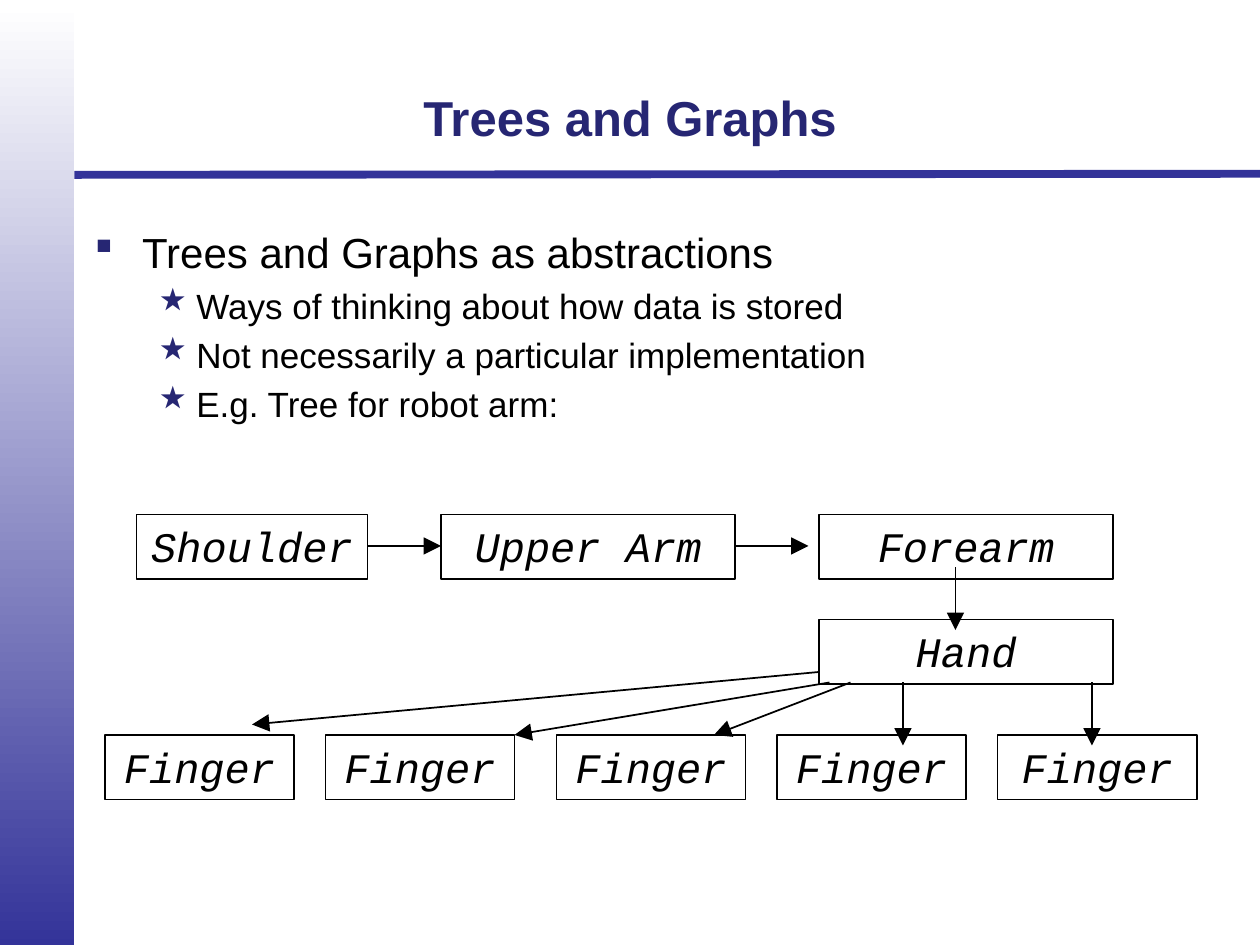
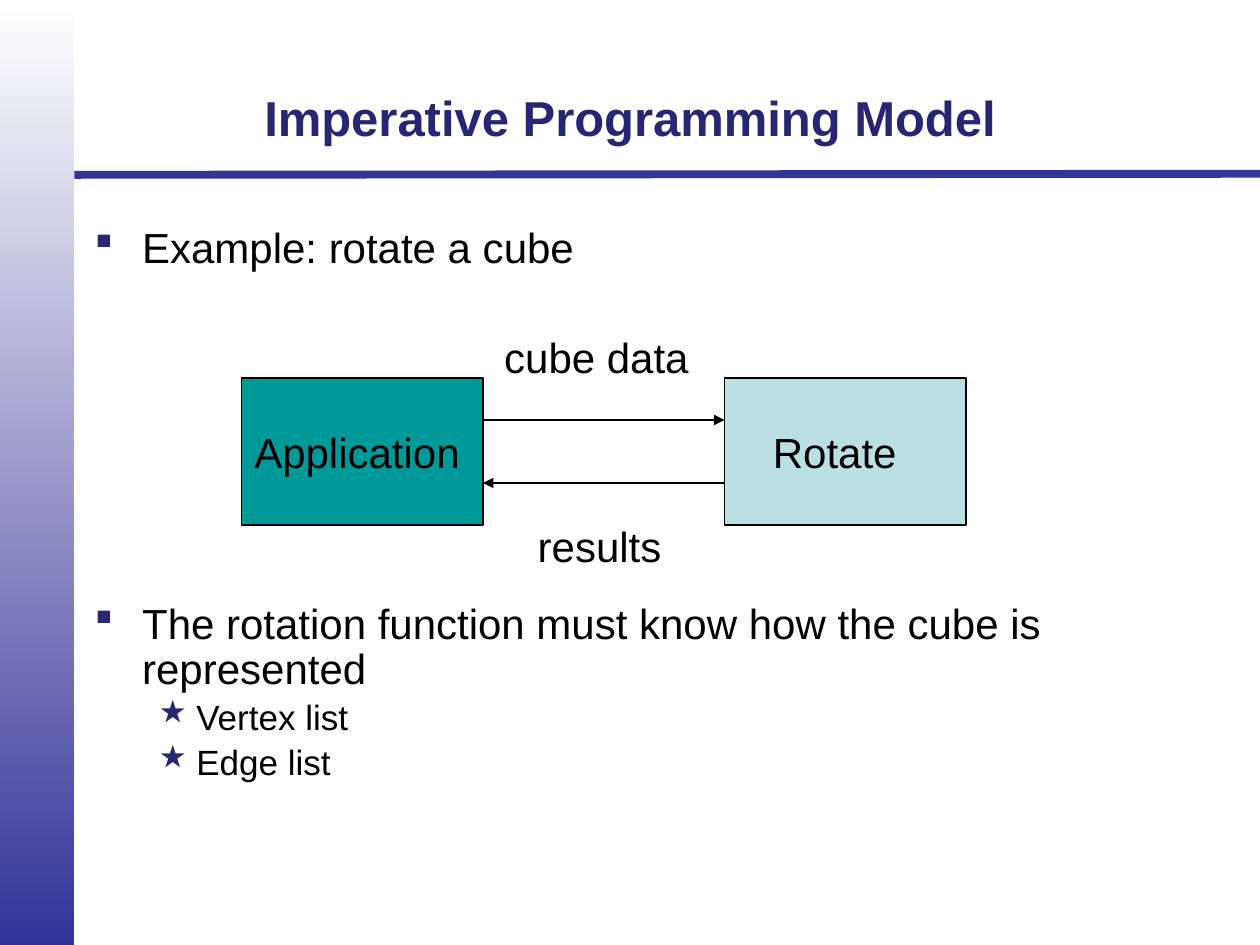
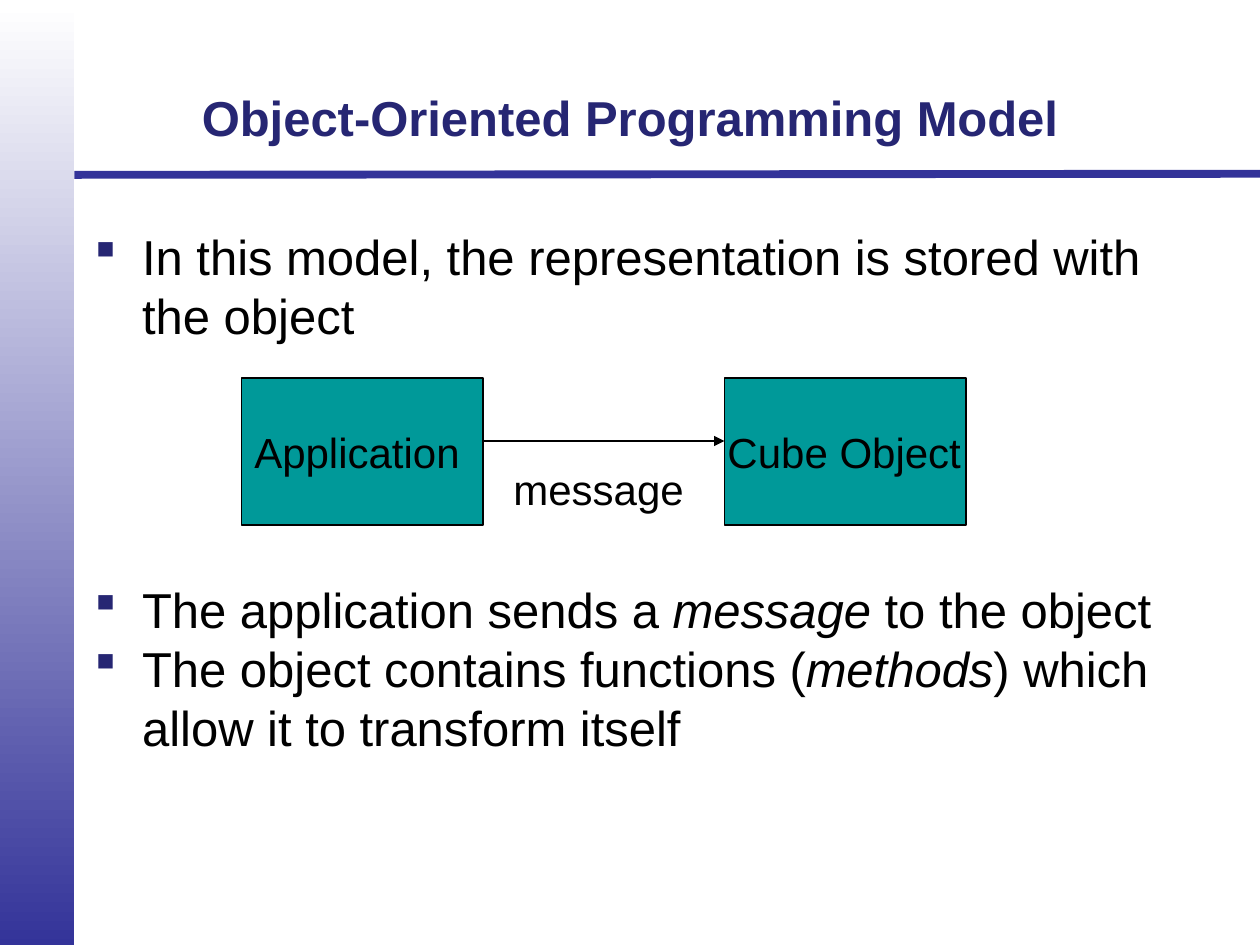
from lxml import etree
from pptx import Presentation, util as u
from pptx.dml.color import RGBColor
from pptx.enum import shapes, text
from pptx.oxml.ns import qn

NAVY, INDIGO, BLACK, WHITE = "262673", "333399", "000000", "FFFFFF"
TEAL, PALE = "009999", "BBE0E3"
COLS, ROWS, CELL = 120, 90, 1 / 12
BAND = 7.08

# level: Wingdings bullet (square, star), left indent, hanging indent
LEVELS = [("§", 0.38, 0.38), ("«", 0.81, 0.31)]

# body paragraph: level, size, space before, runs (text, italic)
SLIDES = [
    dict(
        title="Trees and Graphs", spacing=1.0, arrowhead="lg",
        body=[
            (0, 24, 4.8, [("Trees and Graphs as abstractions", False)]),
            (1, 20, 4, [("Ways of thinking about how data is stored", False)]),
            (1, 20, 4, [("Not necessarily a particular implementation", False)]),
            (1, 20, 4, [("E.g. Tree for robot arm:", False)]),
        ],
        nodes=[("Shoulder", 13, 49, 22), ("Upper Arm", 42, 49, 28),
               ("Forearm", 78, 49, 28), ("Hand", 78, 59, 28)]
              + [("Finger", x, 70, w) for x, w in
                 [(10, 18), (31, 18), (53, 18), (74, 18), (95, 19)]],
        blocks=[], labels=[],
        arrows=[(35, 52, 42, 52), (70, 52, 77, 52), (91, 54, 91, 60),
                (104, 65, 104, 71), (78, 64, 24, 69), (79, 65, 49, 70),
                (81, 65, 68, 70), (86, 65, 86, 71)],
    ),
    dict(
        title="Imperative Programming Model", spacing=0.9, arrowhead="med",
        body=[
            (0, 24, 4.8, [("Example: rotate a cube", False)]),
            (0, 24, 189, [("The rotation function must know how the cube is "
                           "represented", False)]),
            (1, 20, 4, [("Vertex list", False)]),
            (1, 20, 4, [("Edge list", False)]),
        ],
        nodes=[], blocks=[(23, TEAL), (69, PALE)],
        labels=[("Application", 34, 40), ("Rotate", 79.5, 40),
                ("cube data", 56.8, 31), ("results", 57.1, 49)],
        arrows=[(46, 40, 69, 40), (69, 46, 46, 46)],
    ),
    dict(
        title="Object-Oriented Programming Model", spacing=1.0, arrowhead="med",
        body=[
            (0, 28, 0, [("In this model, the representation is stored with "
                         "the object", False)]),
            (0, 28, 134.5, [("The application sends a ", False), ("message", True),
                            (" to the object", False)]),
            (0, 28, 0, [("The object contains functions (", False), ("methods", True),
                        (") which allow it to transform itself", False)]),
        ],
        nodes=[], blocks=[(23, TEAL), (69, TEAL)],
        labels=[("Application", 34, 40), ("Cube Object", 80.4, 40),
                ("message", 57, 43.6)],
        arrows=[(46, 42, 69, 42)],
    ),
]


def rgb(value):
    return RGBColor.from_string(value)


def grid(*cells):
    return [u.Inches(c * CELL) for c in cells]


def add_run(p, words, size, color=BLACK, font="Arial", bold=False, italic=False):
    r = p.add_run()
    r.text = words
    r.font.name, r.font.size = font, u.Pt(size)
    r.font.bold, r.font.italic = bold, italic
    r.font.color.rgb = rgb(color)


def add_box(s, x, y, w, h, fill=None):
    sp = s.shapes.add_shape(shapes.MSO_SHAPE.RECTANGLE, *grid(x, y, w, h))
    sp.shadow.inherit = False
    if fill:
        sp.fill.solid()
        sp.fill.fore_color.rgb = rgb(fill)
    else:
        sp.fill.background()
    sp.line.color.rgb = rgb(BLACK)
    sp.line.width = u.Pt(1)
    return sp


def add_line(s, ends, color=BLACK, width=1, head=None):
    cx = s.shapes.add_connector(shapes.MSO_CONNECTOR.STRAIGHT, *grid(*ends))
    cx.line.color.rgb = rgb(color)
    cx.line.width = u.Pt(width)
    if head:
        etree.SubElement(cx.line._get_or_add_ln(), qn("a:tailEnd"),
                         type="triangle", w=head, len=head)
    etree.SubElement(cx._element.spPr, qn("a:effectLst"))


def add_text(s, x, y, w, h, wrap=True):
    tf = s.shapes.add_textbox(*grid(x, y, w, h)).text_frame
    tf.word_wrap = wrap
    return tf


def add_frame(s, title):
    add_line(s, (BAND, 16.65, COLS, 16.55), INDIGO, 4.5)
    band = add_box(s, 0, 0.36, BAND, ROWS)
    band.line.fill.background()
    band.fill.gradient()
    band.fill.gradient_angle = 270
    for stop, color in zip(band.fill.gradient_stops, (WHITE, INDIGO)):
        stop.color.rgb = rgb(color)
    tf = add_text(s, 6, 3.6, 108, 15)
    tf.vertical_anchor = text.MSO_ANCHOR.MIDDLE
    p = tf.paragraphs[0]
    p.alignment = text.PP_ALIGN.CENTER
    add_run(p, title, 28, NAVY, bold=True)


def add_body(s, paragraphs, spacing):
    tf = add_text(s, 7.8, 21, 108, 59.4)
    for i, (level, size, before, runs) in enumerate(paragraphs):
        p = tf.add_paragraph() if i else tf.paragraphs[0]
        p.level, p.line_spacing, p.space_before = level, spacing, u.Pt(before)
        bullet, left, hang = LEVELS[level]
        pPr = p._p.get_or_add_pPr()
        pPr.set("marL", str(u.Inches(left)))
        pPr.set("indent", str(-u.Inches(hang)))
        color = etree.SubElement(pPr, qn("a:buClr"))
        etree.SubElement(color, qn("a:srgbClr"), val=NAVY)
        etree.SubElement(pPr, qn("a:buFont"), typeface="Wingdings", charset="2")
        etree.SubElement(pPr, qn("a:buChar"), char=bullet)
        for words, italic in runs:
            add_run(p, words, size, italic=italic)


def add_node(s, name, x, y, w):
    tf = add_box(s, x, y, w, 6.15).text_frame
    tf.word_wrap = True
    tf.vertical_anchor = text.MSO_ANCHOR.TOP
    p = tf.paragraphs[0]
    p.alignment = text.PP_ALIGN.CENTER
    add_run(p, name, 24, font="Courier New", italic=True)


def add_label(s, words, center, top, width=26):
    p = add_text(s, center - width / 2, top, width, 6, wrap=False).paragraphs[0]
    p.alignment = text.PP_ALIGN.CENTER
    add_run(p, words, 24)


prs = Presentation()
prs.slide_width, prs.slide_height = grid(COLS, ROWS)
for content in SLIDES:
    s = prs.slides.add_slide(prs.slide_layouts[6])
    add_frame(s, content["title"])
    add_body(s, content["body"], content["spacing"])
    for node in content["nodes"]:
        add_node(s, *node)
    for x, fill in content["blocks"]:
        add_box(s, x, 36, 23, 14, fill)
    for label in content["labels"]:
        add_label(s, *label)
    for ends in content["arrows"]:
        add_line(s, ends, head=content["arrowhead"])
prs.save("out.pptx")
